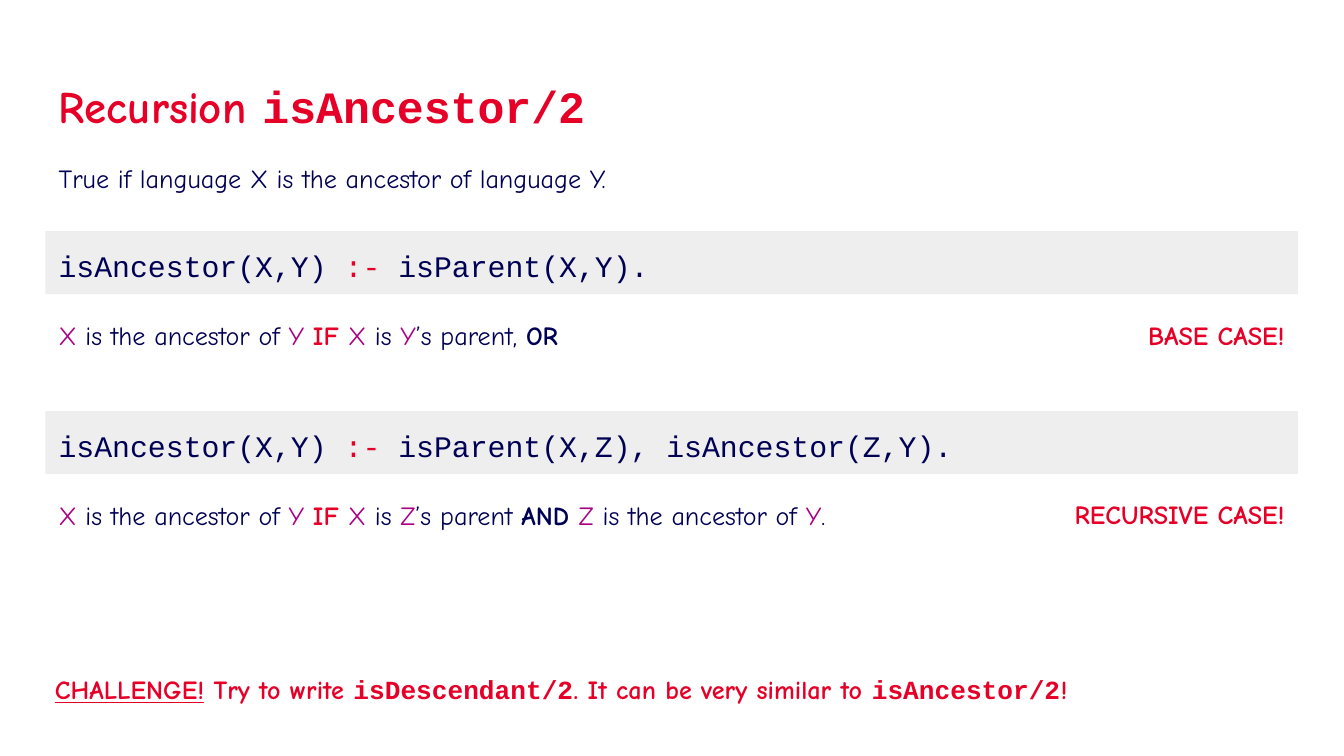
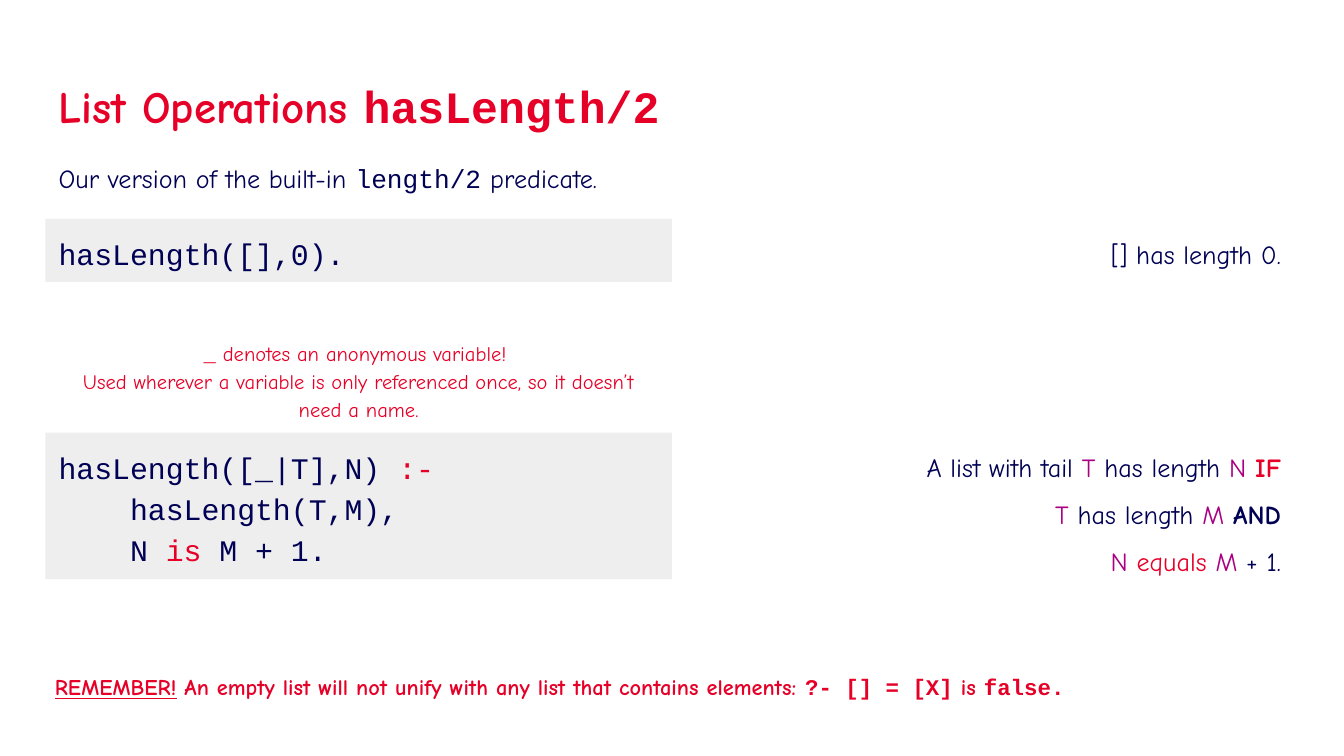
from dataclasses import dataclass

from pptx import Presentation
from pptx.dml.color import RGBColor
from pptx.enum.shapes import MSO_SHAPE
from pptx.enum.text import MSO_ANCHOR, PP_ALIGN
from pptx.slide import Slide
from pptx.util import Cm, Pt


@dataclass(frozen=True)
class Theme:
    red: str = "E60028"
    navy: str = "000054"
    purple: str = "AA0082"
    band: str = "EEEEEE"
    prose: str = "Comic Neue"
    mono: str = "Courier New"
    title: int = 24
    code: int = 16
    body: int = 14
    remark: int = 12
    note: int = 11


THEME = Theme()


@dataclass(frozen=True)
class Style:
    color: str = THEME.navy
    font: str = THEME.prose
    bold: bool = False
    underline: bool = False


TEXT = Style()
STRONG = Style(bold=True)
VAR = Style(THEME.purple)
RED = Style(THEME.red)
ALERT = Style(THEME.red, bold=True)
LEAD = Style(THEME.red, bold=True, underline=True)
ALERT_CODE = Style(THEME.red, THEME.mono, bold=True)
CODE = Style(font=THEME.mono)
OPERATOR = Style(THEME.red, THEME.mono)

Runs = list[tuple[str, Style]]


@dataclass(frozen=True)
class Box:
    """Position and size in centimetres."""
    left: float
    top: float
    width: float
    height: float


@dataclass(frozen=True)
class Para:
    runs: Runs
    indent: float = 0


@dataclass(frozen=True)
class Block:
    box: Box
    paras: list[Para]
    size: int = THEME.body
    align: PP_ALIGN = PP_ALIGN.LEFT
    anchor: MSO_ANCHOR = MSO_ANCHOR.TOP
    spacing: float = 1.0
    fill: str = ""


LEFT, FULL, HALF = 0.86, 23.67, 11.84
MIDDLE, READING_WIDTH = 12.7, 11.76
LINE, CODE_LINE = 1.12, 1.19
CODE_INDENT = 1.35


def draw(slide: Slide, block: Block) -> None:
    b = block.box
    area = [Cm(v) for v in (b.left, b.top, b.width, b.height)]
    if block.fill:
        sp = slide.shapes.add_shape(MSO_SHAPE.RECTANGLE, *area)
        sp.shadow.inherit = False
        sp.fill.solid()
        sp.fill.fore_color.rgb = RGBColor.from_string(block.fill)
        sp.line.fill.background()
    else:
        sp = slide.shapes.add_textbox(*area)
    tf = sp.text_frame
    tf.word_wrap = True
    tf.vertical_anchor = block.anchor
    tf.margin_left = tf.margin_right = tf.margin_top = tf.margin_bottom = Cm(0.25)
    for i, para in enumerate(block.paras):
        p = tf.add_paragraph() if i else tf.paragraphs[0]
        p.alignment = block.align
        p.line_spacing = block.spacing
        if para.indent:
            p._p.get_or_add_pPr().set("marL", str(Cm(para.indent)))
        for text, style in para.runs:
            r = p.add_run()
            r.text = text
            r.font.name = style.font
            r.font.size = Pt(block.size)
            r.font.bold = style.bold
            r.font.underline = style.underline
            r.font.color.rgb = RGBColor.from_string(style.color)


def heading(topic: str, predicate: str, summary: Runs) -> list[Block]:
    title = [(topic, ALERT), (predicate, ALERT_CODE)]
    return [
        Block(Box(LEFT, 1.24, FULL, 1.6), [Para(title)], THEME.title),
        Block(Box(LEFT, 2.82, FULL, LINE), [Para(summary)]),
    ]


def code(top: float, width: float, height: float, paras: list[Para]) -> Block:
    return Block(Box(LEFT, top, width, height), paras, THEME.code,
                 anchor=MSO_ANCHOR.MIDDLE, spacing=1.15, fill=THEME.band)


def reading(top: float, height: float, spacing: float, paras: list[Para]) -> Block:
    """Plain-language version to the right of a code band."""
    return Block(Box(MIDDLE, top, READING_WIDTH, height), paras, align=PP_ALIGN.RIGHT,
                 anchor=MSO_ANCHOR.MIDDLE, spacing=spacing)


def footer(runs: Runs, height: float = LINE, size: int = THEME.body,
           anchor: MSO_ANCHOR = MSO_ANCHOR.TOP) -> Block:
    return Block(Box(0.79, 12.47, FULL, height), [Para(runs)], size, anchor=anchor)


def rule_case(top: float, body: str, label: str, label_left: float,
              condition: Runs) -> list[Block]:
    """A code band with its meaning and case label below."""
    below = top + 1.41
    clause = [("isAncestor(X,Y) ", CODE), (":- ", OPERATOR), (body, CODE)]
    meaning = [("X", VAR), (" is the ancestor of ", TEXT), ("Y ", VAR), ("IF ", ALERT),
               ("X", VAR), (" is ", TEXT), *condition]
    return [
        code(top, FULL, CODE_LINE, [Para(clause)]),
        Block(Box(LEFT, below, 17.17, LINE), [Para(meaning)], anchor=MSO_ANCHOR.MIDDLE),
        Block(Box(label_left, below, LEFT + FULL - label_left, LINE),
              [Para([(label, ALERT)])], align=PP_ALIGN.RIGHT),
    ]


def recursion_slide() -> list[Block]:
    first, step = 4.37, 3.4
    return [
        *heading("Recursion ", "isAncestor/2",
                 [("True if language X is the ancestor of language Y.", TEXT)]),
        *rule_case(first, "isParent(X,Y).", "BASE CASE!", MIDDLE,
                   [("Y", VAR), ("’s parent, ", TEXT), ("OR", STRONG)]),
        *rule_case(first + step, "isParent(X,Z), isAncestor(Z,Y).", "RECURSIVE CASE!", 18.11,
                   [("Z", VAR), ("’s parent ", TEXT), ("AND ", STRONG), ("Z", VAR),
                    (" is the ancestor of ", TEXT), ("Y", VAR), (".", TEXT)]),
        footer([("CHALLENGE!", LEAD), (" Try to write ", ALERT),
                ("isDescendant/2", ALERT_CODE),
                (". It can be very similar to ", ALERT),
                ("isAncestor/2", ALERT_CODE), ("!", ALERT)]),
    ]


def list_slide() -> list[Block]:
    base_top, rule_top, rule_height = 4.14, 8.18, 2.77
    note_height = 2.06
    note = [
        Para([("_", ALERT_CODE), (" denotes an anonymous variable! ", RED)]),
        Para([("Used wherever a variable is only referenced once, "
               "so it doesn’t need a name.", RED)]),
    ]
    return [
        *heading("List Operations ", "hasLength/2",
                 [("Our version of the built-in ", TEXT), ("length/2", CODE),
                  (" predicate.", TEXT)]),
        code(base_top, HALF, CODE_LINE, [Para([("hasLength([],0).", CODE)])]),
        reading(base_top + 0.05, LINE, 1.15, [Para([("[] has length 0.", TEXT)])]),
        Block(Box(LEFT, rule_top - note_height, HALF, note_height), note, THEME.note,
              PP_ALIGN.CENTER, spacing=1.15),
        code(rule_top, HALF, rule_height, [
            Para([("hasLength([_|T],N) ", CODE), (":-", OPERATOR)]),
            Para([("hasLength(T,M),", CODE)], CODE_INDENT),
            Para([("N ", CODE), ("is", OPERATOR), (" M + 1.", CODE)], CODE_INDENT),
        ]),
        reading(rule_top, rule_height, 1.5, [
            Para([("A list with tail ", TEXT), ("T", VAR), (" has length ", TEXT),
                  ("N ", VAR), ("IF", ALERT)]),
            Para([("T", VAR), (" has length ", TEXT), ("M ", VAR), ("AND", STRONG)]),
            Para([("N ", VAR), ("equals ", RED), ("M", VAR), (" + 1.", TEXT)]),
        ]),
        footer([("REMEMBER!", LEAD),
                (" An empty list will not unify with any list that contains elements: ", ALERT),
                ("?- [] = [X]", ALERT_CODE), (" is ", ALERT), ("false.", ALERT_CODE)],
               1.02, THEME.remark, MSO_ANCHOR.BOTTOM),
    ]


def main() -> None:
    prs = Presentation()
    prs.slide_width, prs.slide_height = Cm(25.4), Cm(14.29)
    for blocks in (recursion_slide(), list_slide()):
        s = prs.slides.add_slide(prs.slide_layouts[6])
        for block in blocks:
            draw(s, block)
    prs.save("out.pptx")


if __name__ == "__main__":
    main()
